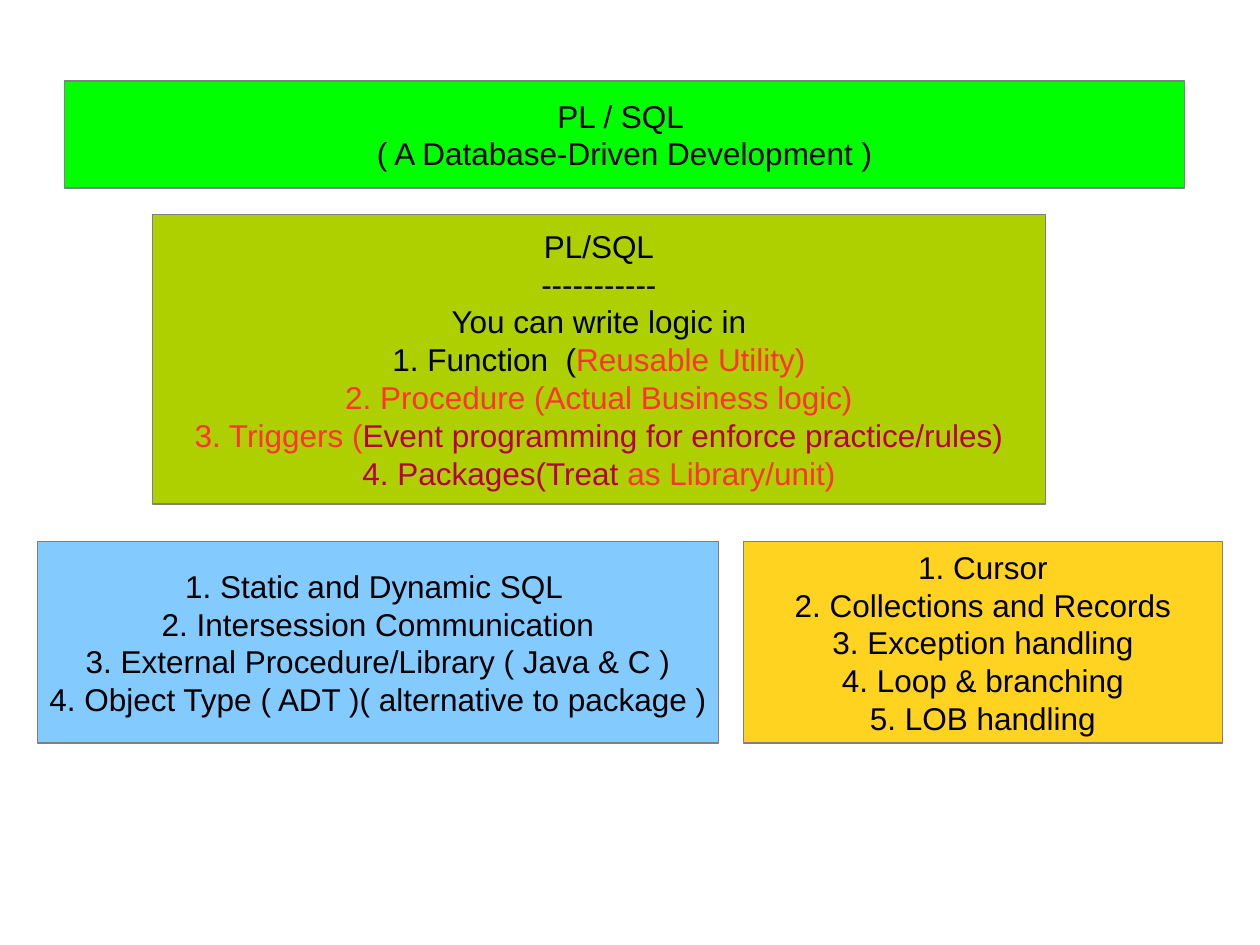
"""Build the PL/SQL overview slide with its title bar and three topic boxes."""
import dataclasses
import typing

import pptx
import pptx.dml.color
import pptx.enum.text
import pptx.shapes.autoshape
import pptx.enum.shapes
import pptx.slide
import pptx.util

Cm = pptx.util.Cm
Pt = pptx.util.Pt
Run = typing.Tuple[str, str]
Line = typing.Tuple[Run, ...]


@dataclasses.dataclass(frozen=True)
class Theme:
    """Hold the colours, font and sizes of the slide."""
    ink: str = "000000"
    red: str = "FF3333"
    wine: str = "B80047"
    edge: str = "808080"
    green: str = "00FF00"
    olive: str = "AECF00"
    blue: str = "83CAFF"
    gold: str = "FFD320"
    font: str = "Arial"
    size: float = 18
    rule: float = 0.75


@dataclasses.dataclass(frozen=True)
class Box:
    """Describe one filled box: place in centimetres, fill and lines."""
    left: float
    top: float
    width: float
    height: float
    fill: str
    lines: typing.Tuple[Line, ...]


THEME = Theme()
FRAME = {
    "word_wrap": False,
    "auto_size": pptx.enum.text.MSO_AUTO_SIZE.NONE,
    "vertical_anchor": pptx.enum.text.MSO_ANCHOR.MIDDLE,
    "margin_left": Cm(0.25),
    "margin_right": Cm(0.25),
    "margin_top": Cm(0.13),
    "margin_bottom": Cm(0.13),
}
FONT = {"name": THEME.font, "size": Pt(THEME.size), "bold": False}


def plain(*texts: str) -> typing.Tuple[Line, ...]:
    """Turn each text into a line of one black run."""
    return tuple(((text, THEME.ink),) for text in texts)


TITLE = Box(1.3, 1.63, 22.58, 2.16, THEME.green, plain(
    "PL / SQL ", "( A Database-Driven Development )"))
LOGIC = plain("PL/SQL", "-----------", "You can write logic in") + (
    (("1. Function  (", THEME.ink), ("Reusable Utility)", THEME.red)),
    (("2. Procedure (Actual Business logic)", THEME.red),),
    (("3. Triggers (", THEME.red),
     ("Event programming for enforce practice/rules)", THEME.wine)),
    (("4. Packages(Treat", THEME.wine), (" as Library/unit)", THEME.red)),
)
TOPICS = (
    Box(3.07, 4.32, 18.01, 5.84, THEME.olive, LOGIC),
    Box(0.76, 10.92, 13.72, 4.06, THEME.blue, plain(
        "1. Static and Dynamic SQL ",
        "2. Intersession Communication",
        "3. External Procedure/Library ( Java & C )",
        "4. Object Type ( ADT )( alternative to package )")),
    Box(14.99, 10.92, 9.65, 4.06, THEME.gold, plain(
        "1. Cursor",
        "2. Collections and Records",
        "3. Exception handling",
        "4. Loop & branching",
        "5. LOB handling")),
)


def apply(target: typing.Any, values: typing.Dict[str, typing.Any]) -> None:
    """Set each named attribute on the target."""
    for name, value in values.items():
        setattr(target, name, value)


def tint(code: str) -> pptx.dml.color.RGBColor:
    """Return the colour for a hex code."""
    return pptx.dml.color.RGBColor.from_string(code)


def write(frame: typing.Any, lines: typing.Tuple[Line, ...]) -> None:
    """Fill a text frame with centred lines of coloured runs."""
    apply(frame, FRAME)
    for index, line in enumerate(lines):
        para = frame.add_paragraph() if index else frame.paragraphs[0]
        para.alignment = pptx.enum.text.PP_ALIGN.CENTER
        for text, code in line:
            run = para.add_run()
            run.text = text
            apply(run.font, FONT)
            run.font.color.rgb = tint(code)


def dress(shape: pptx.shapes.autoshape.Shape, box: Box) -> None:
    """Place, paint and write one box."""
    apply(shape, {side: Cm(getattr(box, side))
                  for side in ("left", "top", "width", "height")})
    shape.shadow.inherit = False
    shape.fill.solid()
    shape.fill.fore_color.rgb = tint(box.fill)
    shape.line.color.rgb = tint(THEME.edge)
    shape.line.width = Pt(THEME.rule)
    write(shape.text_frame, box.lines)


def draw(slide: pptx.slide.Slide, box: Box) -> None:
    """Add one topic box to the slide."""
    kind = pptx.enum.shapes.MSO_SHAPE.RECTANGLE
    dress(slide.shapes.add_shape(kind, 0, 0, 0, 0), box)


def main() -> None:
    """Build and save the slide."""
    deck = pptx.Presentation()
    apply(deck, {"slide_width": Cm(25.4), "slide_height": Cm(19.05)})
    slide = deck.slides.add_slide(deck.slide_layouts[5])
    dress(slide.shapes.title, TITLE)
    for box in TOPICS:
        draw(slide, box)
    deck.save("out.pptx")


if __name__ == "__main__":
    main()
